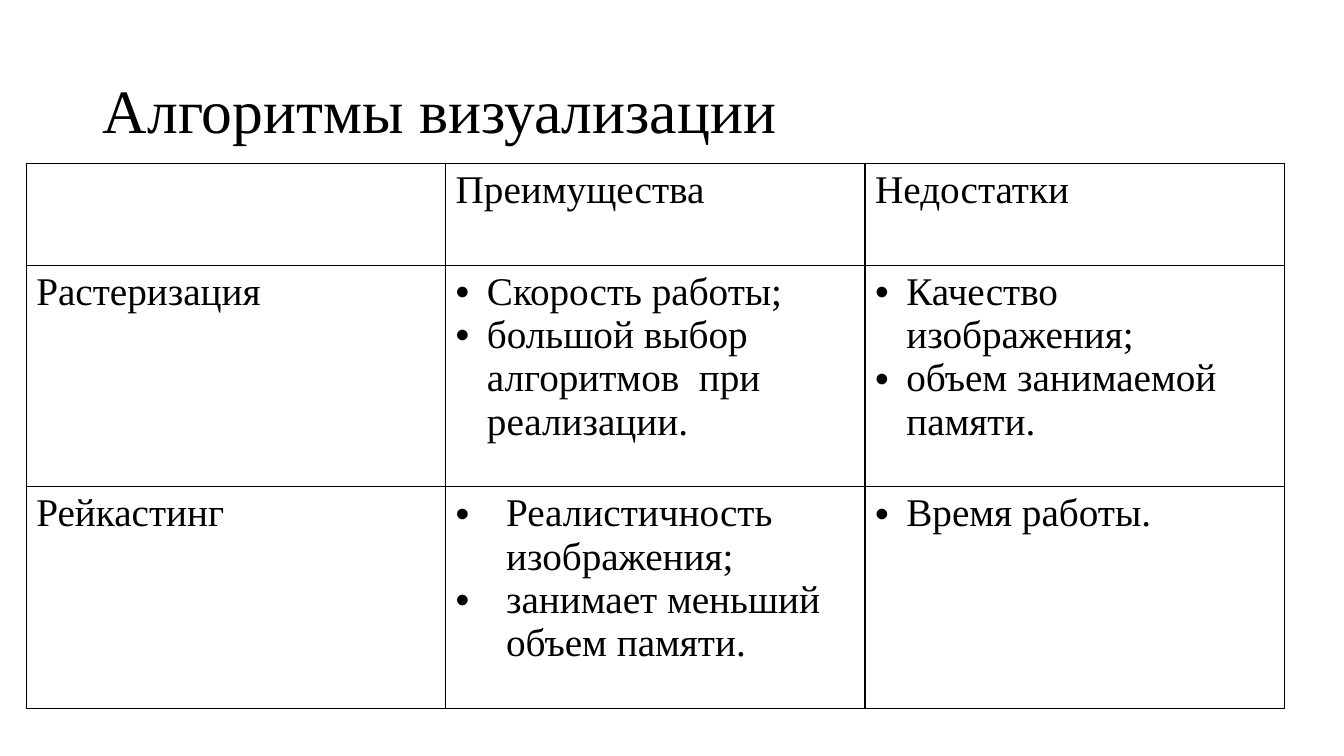
"""Build a slide comparing the advantages and drawbacks of rendering algorithms."""
from lxml import etree
from pptx import Presentation
from pptx.dml.color import RGBColor
from pptx.enum.text import MSO_ANCHOR, MSO_AUTO_SIZE, PP_ALIGN
from pptx.oxml.ns import qn
from pptx.util import Inches, Pt

LEFT, MIDDLE, NO_FIT = PP_ALIGN.LEFT, MSO_ANCHOR.MIDDLE, MSO_AUTO_SIZE.NONE
TITLE_ONLY = 5
FONT = "Times New Roman"
COLORS = {"text": "000000", "border": "000000", "cell": "FFFFFF"}

TITLE = "Алгоритмы визуализации"
HEADERS = ["", "Преимущества", "Недостатки"]
ALGORITHMS = [
    {
        "name": "Растеризация",
        "advantages": ["Скорость работы;", "большой выбор алгоритмов  при реализации."],
        "drawbacks": ["Качество изображения;", "объем занимаемой памяти."],
        "advantage_indent": 0.31,
    },
    {
        "name": "Рейкастинг",
        "advantages": ["Реалистичность изображения;", "занимает меньший объем памяти."],
        "drawbacks": ["Время работы."],
        "advantage_indent": 0.5,
    },
]
DRAWBACK_INDENT = 0.31
COLUMN_WIDTH, HEADER_HEIGHT, ROW_HEIGHT = 4.16, 1.01, 2.2
TABLE_LEFT, TABLE_TOP = 0.26, 1.62


def add_text(paragraph, text, size):
    run = paragraph.add_run()
    run.text = text
    run.font.name = FONT
    run.font.size = Pt(size)
    run.font.color.rgb = RGBColor.from_string(COLORS["text"])


def add_bullet(paragraph, indent):
    properties = paragraph._p.get_or_add_pPr()
    properties.set("marL", str(Inches(indent)))
    properties.set("indent", str(-Inches(indent)))
    etree.SubElement(properties, qn("a:buFont"), typeface="Arial")
    etree.SubElement(properties, qn("a:buChar"), char="•")


def style_cell(cell):
    cell.fill.solid()
    cell.fill.fore_color.rgb = RGBColor.from_string(COLORS["cell"])
    properties = cell._tc.get_or_add_tcPr()
    for position, side in enumerate(("lnL", "lnR", "lnT", "lnB")):
        line = etree.Element(qn(f"a:{side}"), w=str(Pt(1)))
        fill = etree.SubElement(line, qn("a:solidFill"))
        etree.SubElement(fill, qn("a:srgbClr"), val=COLORS["border"])
        properties.insert(position, line)


def fill_cell(cell, lines, indent=0):
    style_cell(cell)
    frame = cell.text_frame
    for number, text in enumerate(lines):
        paragraph = frame.add_paragraph() if number else frame.paragraphs[0]
        if indent:
            add_bullet(paragraph, indent)
        if text:
            add_text(paragraph, text, 28)


presentation = Presentation()
presentation.slide_width, presentation.slide_height = Inches(13.33), Inches(7.5)
slide = presentation.slides.add_slide(presentation.slide_layouts[TITLE_ONLY])

title = slide.shapes.title
title.left, title.top = Inches(0.92), Inches(0.4)
title.width, title.height = Inches(11.5), Inches(1.45)
title.text_frame.auto_size = NO_FIT
title.text_frame.vertical_anchor = MIDDLE
heading = title.text_frame.paragraphs[0]
heading.alignment = LEFT
heading.line_spacing = 0.9
add_text(heading, TITLE, 44)

row_heights = [HEADER_HEIGHT] + [ROW_HEIGHT] * len(ALGORITHMS)
table = slide.shapes.add_table(
    len(row_heights), len(HEADERS), Inches(TABLE_LEFT), Inches(TABLE_TOP),
    Inches(COLUMN_WIDTH * len(HEADERS)), Inches(sum(row_heights)),
).table
table.first_row = table.horz_banding = False
for column in table.columns:
    column.width = Inches(COLUMN_WIDTH)
for row, height in zip(table.rows, row_heights):
    row.height = Inches(height)

for column_index, header in enumerate(HEADERS):
    fill_cell(table.cell(0, column_index), [header])
for row_index, algorithm in enumerate(ALGORITHMS, start=1):
    fill_cell(table.cell(row_index, 0), [algorithm["name"]])
    fill_cell(table.cell(row_index, 1), algorithm["advantages"], algorithm["advantage_indent"])
    fill_cell(table.cell(row_index, 2), algorithm["drawbacks"], DRAWBACK_INDENT)

presentation.save("out.pptx")
